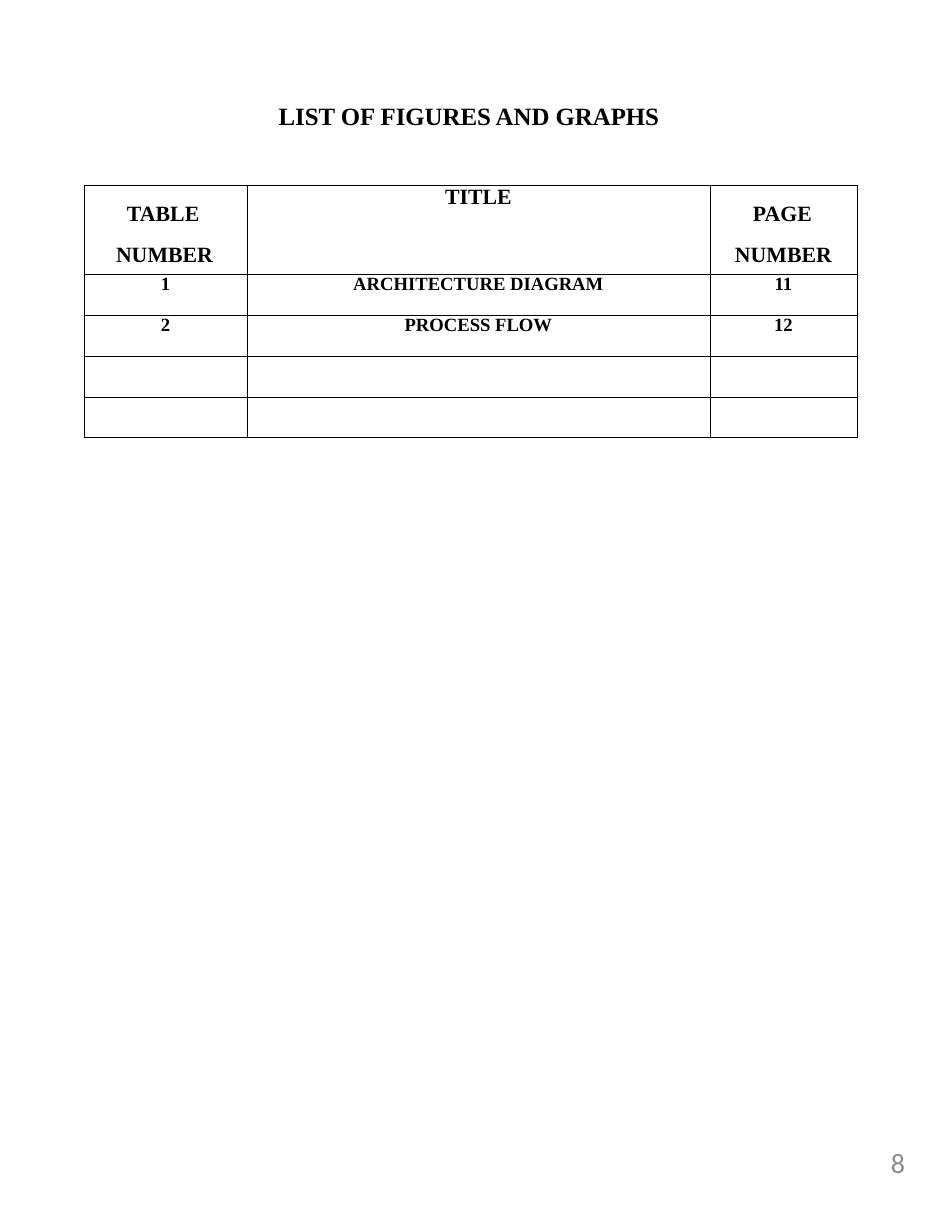
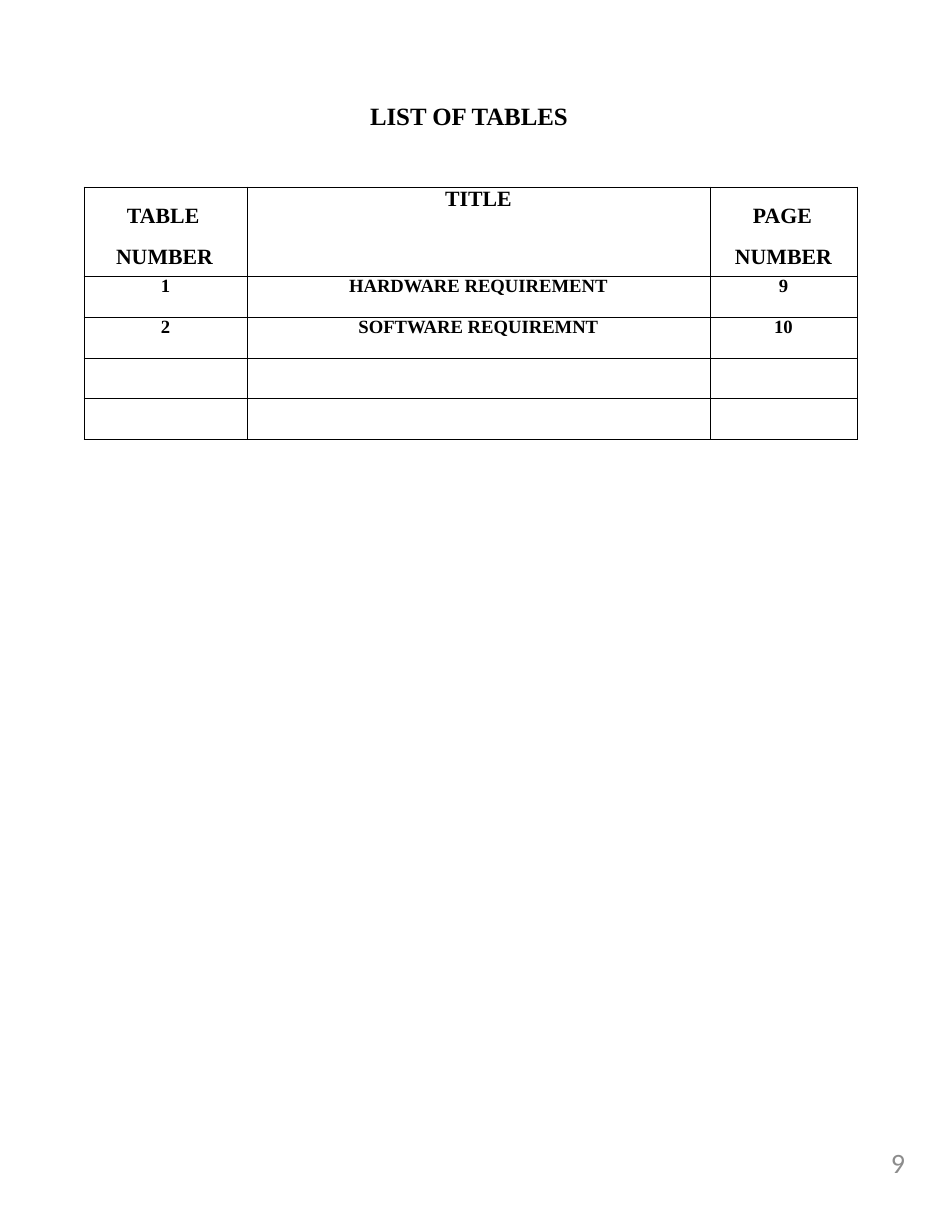
from lxml.etree import SubElement
from pptx import Presentation
from pptx.dml.color import RGBColor as Rgb
from pptx.enum.text import MSO_ANCHOR as Anchor, MSO_AUTO_SIZE as Fit, PP_ALIGN as Align
from pptx.oxml.ns import qn
from pptx.util import Pt

COLORS = {"ink": "000000", "page": "8C8C8C"}
SERIF, SANS = "Times New Roman", "Calibri"
SIZE = (952, 1232)
TITLE_BOX = (84, 101, 770, 28)
PAGE_BOX = (685, 1146, 220, 62)
COLS = (163, 463, 147)
HEAD_ROW, BODY_ROW = 89, 41
HEADS = ("TABLE NUMBER", "TITLE", "PAGE NUMBER")
INDENTS = {0: (32, 11), 2: (25, 18)}
BLANKS = 2

LISTS = [
    ("LIST OF FIGURES AND GRAPHS", 185, 8,
     [("1", "ARCHITECTURE DIAGRAM", "11"), ("2", "PROCESS FLOW", "12")]),
    ("LIST OF TABLES", 187, 9,
     [("1", "HARDWARE REQUIREMENT", "9"), ("2", "SOFTWARE REQUIREMNT", "10")]),
]


def px(n):
    return round(n * 914400 / 112)


def style(para, size, name=SERIF, color="ink", bold=True, align=Align.CENTER):
    para.alignment = align
    font = para.font
    font.name, font.size, font.bold = name, Pt(size), bold
    font.color.rgb = Rgb.from_string(COLORS[color])


def strip(frame):
    frame.margin_left = frame.margin_right = 0
    frame.margin_top = frame.margin_bottom = 0
    frame.word_wrap = True
    frame.auto_size = Fit.NONE
    frame.vertical_anchor = Anchor.TOP


def add_title(slide, text, box):
    title = slide.shapes.title
    title.left, title.top, title.width, title.height = map(px, box)
    frame = title.text_frame
    strip(frame)
    frame.text = text
    style(frame.paragraphs[0], 16)


def add_page(slide, page, box):
    frame = slide.shapes.add_textbox(*map(px, box)).text_frame
    strip(frame)
    frame.text = str(page)
    style(frame.paragraphs[0], 18, SANS, "page", False, Align.RIGHT)


def add_edges(cell):
    props = cell._tc.get_or_add_tcPr()
    for side in ("lnL", "lnR", "lnT", "lnB"):
        line = SubElement(props, qn(f"a:{side}"), w=str(Pt(0.58)))
        fill = SubElement(line, qn("a:solidFill"))
        SubElement(fill, qn("a:srgbClr"), val=COLORS["ink"])


def fill_cell(cell, text, size):
    cell.margin_left = cell.margin_right = 0
    cell.margin_top = cell.margin_bottom = 0
    add_edges(cell)
    cell.fill.background()
    cell.text = text
    style(cell.text_frame.paragraphs[0], size)


def indent_head(cell, left, first):
    para = cell.text_frame.paragraphs[0]
    para.alignment = Align.LEFT
    para.line_spacing = 1.7
    props = para._p.get_or_add_pPr()
    props.set("marL", str(px(left)))
    props.set("indent", str(px(first)))


def add_list(slide, items, left, top):
    rows = [HEADS, *items] + [("", "", "")] * BLANKS
    tall = [HEAD_ROW] + [BODY_ROW] * (len(rows) - 1)
    box = (left, top, sum(COLS), sum(tall))
    table = slide.shapes.add_table(len(rows), len(COLS), *map(px, box)).table
    table.first_row = table.horz_banding = False
    for col, width in zip(table.columns, COLS):
        col.width = px(width)
    for r, texts in enumerate(rows):
        table.rows[r].height = px(tall[r])
        for c, text in enumerate(texts):
            fill_cell(table.cell(r, c), text, 12 if r else 14)
    for c, (start, first) in INDENTS.items():
        indent_head(table.cell(0, c), start, first)


def add_slide(deck, title, top, page, items):
    slide = deck.slides.add_slide(deck.slide_layouts[5])
    add_title(slide, title, TITLE_BOX)
    add_list(slide, items, 84, top)
    add_page(slide, page, PAGE_BOX)


def main():
    deck = Presentation()
    deck.slide_width, deck.slide_height = map(px, SIZE)
    for entry in LISTS:
        add_slide(deck, *entry)
    deck.save("out.pptx")


if __name__ == "__main__":
    main()
